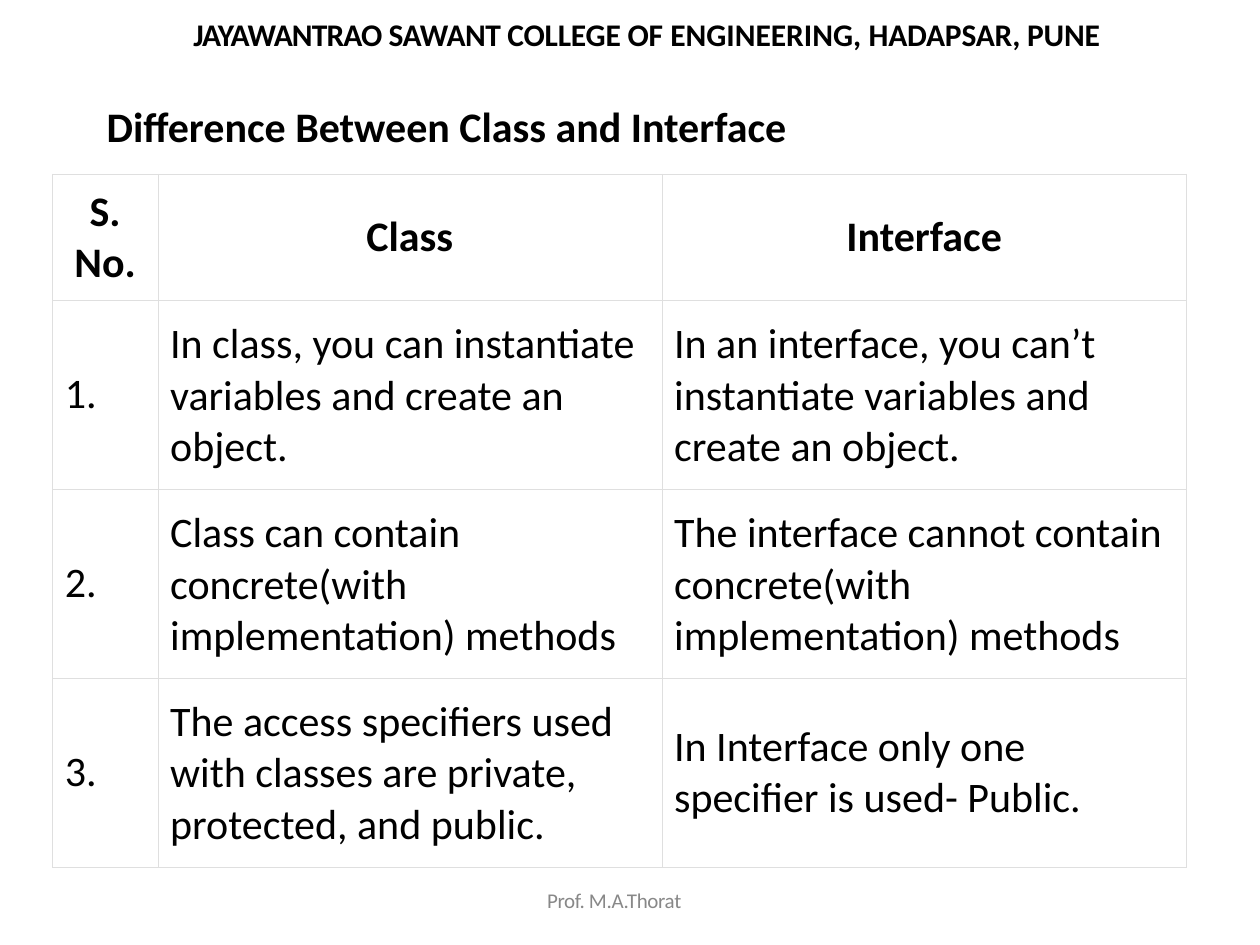
from lxml.etree import SubElement
from pptx import Presentation
from pptx.dml.color import RGBColor
from pptx.enum.text import MSO_ANCHOR, PP_ALIGN
from pptx.oxml.ns import qn
from pptx.util import Cm, Pt

BLACK = RGBColor(0x00, 0x00, 0x00)
WHITE = RGBColor(0xFF, 0xFF, 0xFF)
GREY = RGBColor(0x88, 0x88, 0x88)
RULE = RGBColor(0xDF, 0xDF, 0xDF)

# Each run of the heading with its letter spacing in points
HEADING = [
    ("JAYAWANTRAO ", -0.5),
    ("SAWANT ", -0.3),
    ("COLLEGE OF", -0.1),
    (" ENGINEERING, ", 0),
    ("HADAPSAR, PUNE", -0.1),
]
ROWS = [
    ("S. No.", "Class", "Interface"),
    ("1.", "In class, you can instantiate variables and create an object.",
     "In an interface, you can’t instantiate variables and create an object."),
    ("2.", "Class can contain concrete(with implementation) methods",
     "The interface cannot contain concrete(with implementation) methods"),
    ("3.", "The access specifiers used with classes are private, protected, and public.",
     "In Interface only one specifier is used- Public."),
]
WIDTHS = [2.12, 10.16, 10.58]
HEIGHTS = [2.54, 3.79, 3.79, 3.79]


def style(run, size, color=BLACK, bold=False, gap=0):
    font = run.font
    font.name, font.size, font.bold = "Calibri", Pt(size), bold
    font.color.rgb = color
    if gap:
        run._r.get_or_add_rPr().set("spc", str(round(gap * 100)))


def inset(part, left, top, right, bottom):
    part.margin_left, part.margin_top = Cm(left), Cm(top)
    part.margin_right, part.margin_bottom = Cm(right), Cm(bottom)


def add_text(slide, box, insets):
    frame = slide.shapes.add_textbox(*map(Cm, box)).text_frame
    frame.word_wrap = True
    inset(frame, *insets)
    return frame


def add_heading(slide, box):
    para = add_text(slide, box, (1.06, 0.03, 0, 0)).paragraphs[0]
    para.space_before = Pt(1)
    for text, gap in HEADING:
        run = para.add_run()
        run.text = text
        style(run, 18, bold=True, gap=gap)


def add_topic(slide, box):
    frame = add_text(slide, box, (0.25, 0.13, 0.25, 0.13))
    frame.text = "Difference Between Class and Interface"
    style(frame.paragraphs[0].runs[0], 24, bold=True)


def add_footer(slide, box):
    frame = add_text(slide, box, (0.03, 0, 0, 0))
    frame.text = "Prof. M.A.Thorat"
    para = frame.paragraphs[0]
    para.line_spacing = Pt(12.4)
    style(para.runs[0], 12, GREY, gap=-0.2)


def add_border(cell):
    # Borders must come before the fill in the cell properties
    props = cell._tc.get_or_add_tcPr()
    for side in ("a:lnL", "a:lnR", "a:lnT", "a:lnB"):
        line = SubElement(props, qn(side), w=str(Pt(0.23)))
        fill = SubElement(line, qn("a:solidFill"))
        SubElement(fill, qn("a:srgbClr"), val=str(RULE))


def fill_cell(cell, text, head, first):
    add_border(cell)
    cell.fill.solid()
    cell.fill.fore_color.rgb = WHITE
    cell.vertical_anchor = MSO_ANCHOR.MIDDLE
    side = 0.1 if head and first else 0.25
    edge = 0.25 if head else 0.38
    inset(cell, side, edge, side, edge)
    cell.text_frame.text = text
    para = cell.text_frame.paragraphs[0]
    para.alignment = PP_ALIGN.CENTER if head else PP_ALIGN.LEFT
    style(para.runs[0], 24, bold=head)


def add_grid(slide, left, top):
    size = Cm(sum(WIDTHS)), Cm(sum(HEIGHTS))
    table = slide.shapes.add_table(
        len(ROWS), len(WIDTHS), Cm(left), Cm(top), *size).table
    for col, width in zip(table.columns, WIDTHS):
        col.width = Cm(width)
    for r, texts in enumerate(ROWS):
        table.rows[r].height = Cm(HEIGHTS[r])
        for c, text in enumerate(texts):
            fill_cell(table.cell(r, c), text, r == 0, c == 0)


def main():
    deck = Presentation()
    deck.slide_width, deck.slide_height = Cm(25.4), Cm(19.05)
    slide = deck.slides.add_slide(deck.slide_layouts[6])
    add_heading(slide, (2.84, 0.28, 19.74, 0.84))
    add_topic(slide, (1.9, 1.9, 15.24, 1.27))
    add_grid(slide, 1.06, 3.51)
    add_footer(slide, (11, 17.96, 3.4, 0.48))
    deck.save("out.pptx")


if __name__ == "__main__":
    main()
